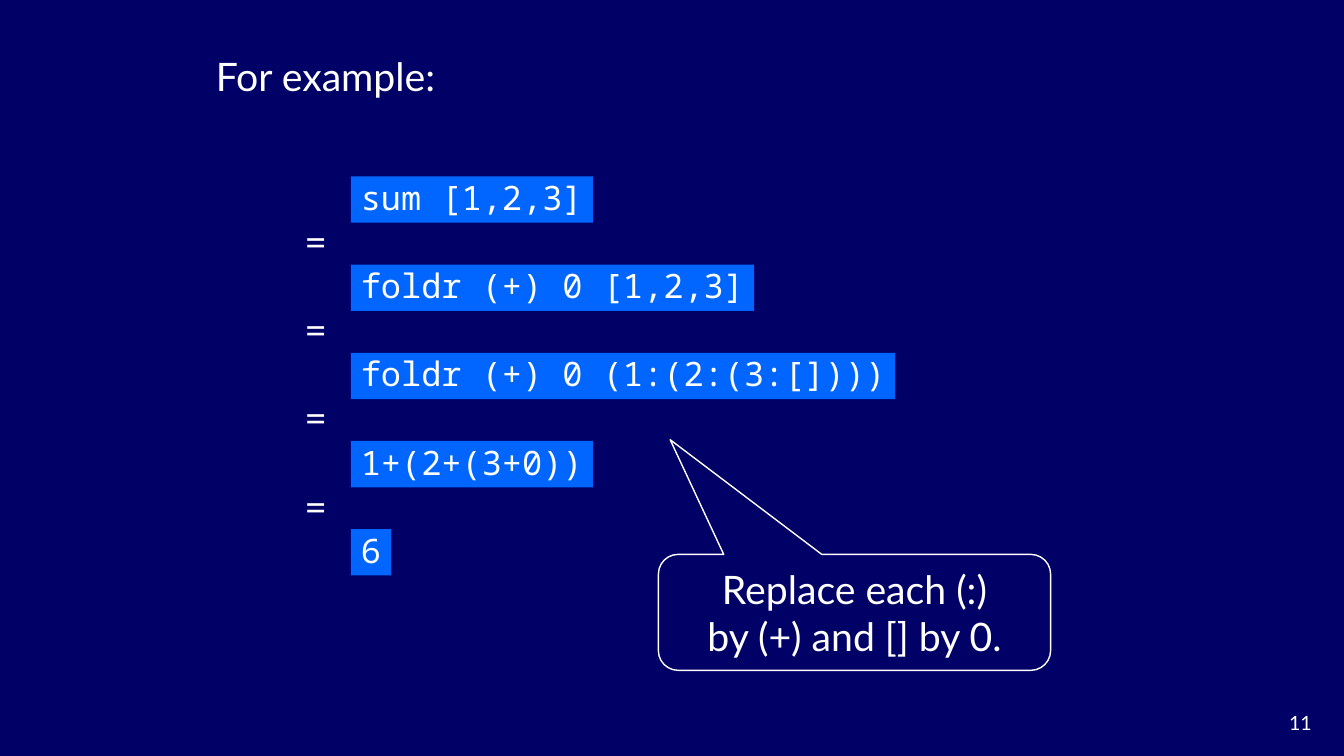
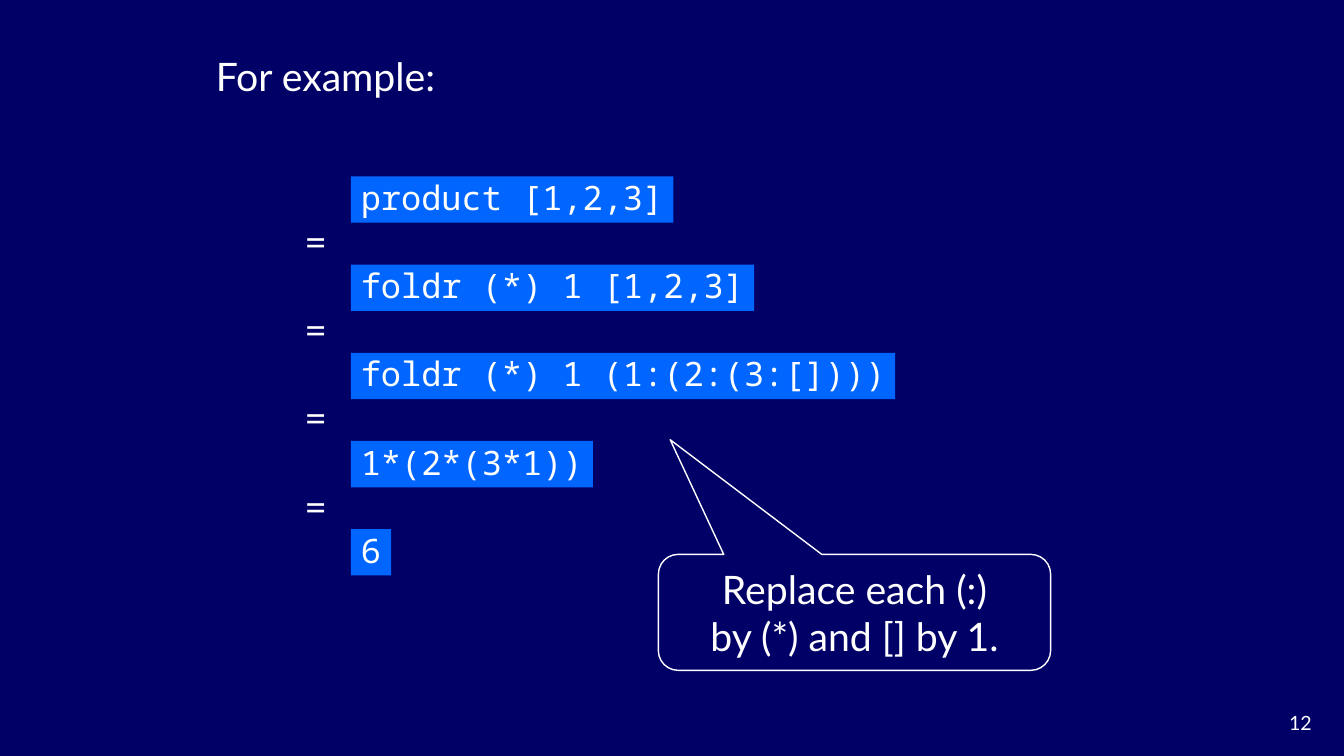
import pptx
import pptx.util
import pptx.dml.color
import pptx.enum.shapes
import pptx.enum.text

Inches = pptx.util.Inches
Pt = pptx.util.Pt
RGB = pptx.dml.color.RGBColor.from_string
SHAPE = pptx.enum.shapes.MSO_SHAPE
ALIGN = pptx.enum.text.PP_ALIGN
ANCHOR = pptx.enum.text.MSO_ANCHOR

COLORS = {"background": "000066", "code": "0066FF", "text": "FFFFFF"}
BODY_FONT, CODE_FONT = "Lato", "Noto Sans Mono"

# Derivation grid: each code box is as wide as its characters plus the insets
CODE_LEFT, CODE_TOP, CODE_HEIGHT = 3.48, 1.75, 0.46
CHAR_WIDTH, CODE_INSETS = 0.2, 0.2
STEP = 0.875
EQUALS_RISE = 0.52

EXAMPLES = [
    {
        "number": "11",
        "steps": ["sum [1,2,3]", "foldr (+) 0 [1,2,3]",
                  "foldr (+) 0 (1:(2:(3:[])))", "1+(2+(3+0))", "6"],
        "hint": "Replace each (:)\nby (+) and [] by 0.",
    },
    {
        "number": "12",
        "steps": ["product [1,2,3]", "foldr (*) 1 [1,2,3]",
                  "foldr (*) 1 (1:(2:(3:[])))", "1*(2*(3*1))", "6"],
        "hint": "Replace each (:)\nby (*) and [] by 1.",
    },
]


def write(shape, text, size, align=ALIGN.LEFT, font=BODY_FONT, wrap=True,
          anchor=ANCHOR.MIDDLE, spacing=None):
    frame = shape.text_frame
    frame.text = text
    frame.word_wrap = wrap
    frame.auto_size = pptx.enum.text.MSO_AUTO_SIZE.NONE
    frame.vertical_anchor = anchor
    for paragraph in frame.paragraphs:
        paragraph.alignment = align
        paragraph.line_spacing = spacing
        paragraph.font.name = font
        paragraph.font.size = Pt(size)
        paragraph.font.color.rgb = RGB(COLORS["text"])


def box(left, top, width, height):
    return [Inches(length) for length in (left, top, width, height)]


prs = pptx.Presentation()
prs.slide_width, prs.slide_height = Inches(13.33), Inches(7.5)

# Shared background
background = prs.slide_master.background.fill
background.solid()
background.fore_color.rgb = RGB(COLORS["background"])

for example in EXAMPLES:
    slide = prs.slides.add_slide(prs.slide_layouts[5])
    shapes = slide.shapes

    # Title
    title = shapes.title
    title.left, title.top, title.width, title.height = box(2.04, 0.47, 8.86, 0.57)
    write(title, "For example:", 28)

    # Slide number
    number = shapes.add_textbox(*box(12.22, 7, 0.89, 0.33))
    write(number, example["number"], 14, ALIGN.RIGHT, anchor=ANCHOR.TOP)

    # Derivation steps, joined by equals signs
    for index, expression in enumerate(example["steps"]):
        top = CODE_TOP + index * STEP
        width = len(expression) * CHAR_WIDTH + CODE_INSETS
        code = shapes.add_shape(SHAPE.RECTANGLE,
                                *box(CODE_LEFT, top, width, CODE_HEIGHT))
        code.shadow.inherit = False
        code.fill.solid()
        code.fill.fore_color.rgb = RGB(COLORS["code"])
        code.line.fill.background()
        write(code, expression, 24, font=CODE_FONT, wrap=False, spacing=0.9)
        if index > 0:
            equals = shapes.add_textbox(*box(2.89, top - EQUALS_RISE, 0.48, 0.57))
            write(equals, "=", 28, ALIGN.CENTER, wrap=False)

    # Callout with the replacement rule
    callout = shapes.add_shape(SHAPE.ROUNDED_RECTANGULAR_CALLOUT,
                               *box(6.53, 5.5, 3.89, 1.15))
    callout.adjustments[0] = -0.47
    callout.adjustments[1] = -1.49
    callout.adjustments[2] = 0.17
    callout.shadow.inherit = False
    callout.fill.background()
    callout.line.color.rgb = RGB(COLORS["text"])
    callout.line.width = Pt(1)
    write(callout, example["hint"], 28, ALIGN.CENTER)

prs.save("out.pptx")
